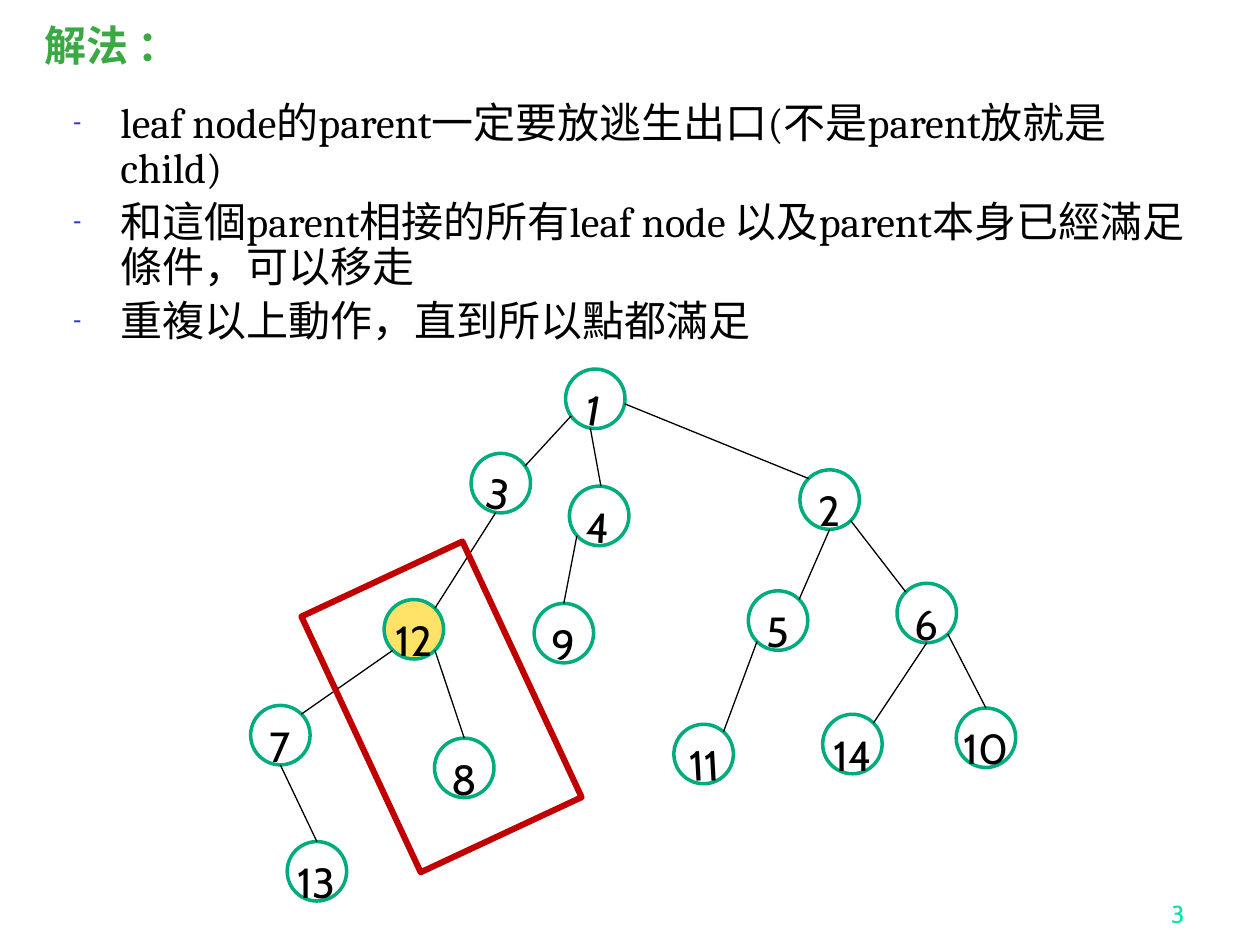
from math import cos, radians, sin

from lxml import etree
from pptx import Presentation
from pptx.dml.color import RGBColor
from pptx.enum.shapes import MSO_CONNECTOR, MSO_SHAPE
from pptx.enum.text import MSO_ANCHOR, MSO_AUTO_SIZE, PP_ALIGN
from pptx.oxml.ns import qn
from pptx.util import Pt

STRAIGHT = MSO_CONNECTOR.STRAIGHT
OVAL, RECTANGLE = MSO_SHAPE.OVAL, MSO_SHAPE.RECTANGLE
TOP, BOTTOM = MSO_ANCHOR.TOP, MSO_ANCHOR.BOTTOM
LEFT, CENTER, RIGHT = PP_ALIGN.LEFT, PP_ALIGN.CENTER, PP_ALIGN.RIGHT
NO_AUTOFIT = MSO_AUTO_SIZE.NONE

BLACK = RGBColor(0x00, 0x00, 0x00)
WHITE = RGBColor(0xFF, 0xFF, 0xFF)
TITLE_GREEN = RGBColor(0x3B, 0xA9, 0x43)
BULLET_BLUE = RGBColor(0x33, 0x33, 0xCC)
NODE_GREEN = RGBColor(0x00, 0xAB, 0x7E)
EXIT_YELLOW = RGBColor(0xFF, 0xE2, 0x67)
REMOVED_RED = RGBColor(0xC0, 0x00, 0x00)
NUMBER_GREEN = RGBColor(0x00, 0xE4, 0xA8)

DIAMETER = 34
STEPS = [
    "leaf node的parent一定要放逃生出口(不是parent放就是child)",
    "和這個parent相接的所有leaf node 以及parent本身已經滿足條件，可以移走",
    "重複以上動作，直到所以點都滿足",
]
NODE_CENTERS = {
    1: (340.2, 227.9), 2: (474.1, 285.5), 3: (286.2, 276.1), 4: (342.4, 294.8),
    5: (444.6, 354.6), 6: (529.6, 350.3), 7: (160.2, 420.1), 8: (265.3, 438.8),
    9: (322.2, 361.8), 10: (563.4, 421.6), 11: (402.1, 430.9),
    12: (236.5, 359.6), 13: (181.1, 497.9), 14: (487.1, 425.2),
}
NODE_TILTS = {1: 9.7, 3: 9.7, 4: 3.4, 11: -3.2}
SITE_ANGLES = {"E": 0, "SE": 45, "S": 90, "SW": 135, "NW": 225, "N": 270, "NE": 315}
EDGES = [
    (1, "SW", 3, "NE"), (1, "S", 4, "N"), (1, "E", 2, "NW"),
    (3, "S", 12, "NE"), (4, "SW", 9, "N"), (2, "S", 5, "NE"),
    (2, "SE", 6, "NW"), (5, "SW", 11, "NE"), (6, "S", 14, "NE"),
    (6, "SE", 10, "N"), (12, "SW", 7, "NE"), (12, "SE", 8, "N"),
    (7, "S", 13, "N"),
]


def place(holder, left, top, width, height):
    """Move and size a placeholder, in points."""
    holder.left, holder.top = Pt(left), Pt(top)
    holder.width, holder.height = Pt(width), Pt(height)


def add_dash(paragraph):
    """Give a paragraph a small coloured dash with a hanging indent."""
    properties = paragraph._p.get_or_add_pPr()
    properties.set("marL", str(Pt(27)))
    properties.set("indent", str(-Pt(27)))
    color = etree.SubElement(properties, qn("a:buClr"))
    etree.SubElement(color, qn("a:srgbClr"), val=str(BULLET_BLUE))
    etree.SubElement(properties, qn("a:buSzPct"), val="60000")
    etree.SubElement(properties, qn("a:buChar"), char="-")


def write_text(holder, lines, font, color, size=24, bold=False, align=LEFT,
               anchor=TOP, wrap=True, spacing=1.0, gap=0, dashed=False):
    """Fill a text holder with formatted paragraphs."""
    frame = holder.text_frame
    frame.auto_size = NO_AUTOFIT
    frame.word_wrap = wrap
    frame.vertical_anchor = anchor
    for index, line in enumerate(lines):
        paragraph = frame.add_paragraph() if index else frame.paragraphs[0]
        if dashed:
            add_dash(paragraph)
        paragraph.alignment = align
        paragraph.line_spacing = spacing
        paragraph.space_before = Pt(gap if index else 0)
        run = paragraph.add_run()
        run.text = line
        run.font.name = font
        run.font.size = Pt(size)
        run.font.bold = bold
        run.font.color.rgb = color


def add_node(slide, number):
    """Draw one numbered tree node."""
    x, y = NODE_CENTERS[number]
    node = slide.shapes.add_shape(OVAL, Pt(x - DIAMETER / 2), Pt(y - DIAMETER / 2),
                                  Pt(DIAMETER), Pt(DIAMETER))
    node.rotation = NODE_TILTS.get(number, 0)
    node.shadow.inherit = False
    node.fill.solid()
    node.fill.fore_color.rgb = EXIT_YELLOW if number == 12 else WHITE
    node.line.color.rgb = NODE_GREEN
    node.line.width = Pt(2)
    write_text(node, [str(number)], "Cabin", BLACK, align=CENTER, wrap=False)


def site_point(number, site):
    """Return the point on a node's rim at a compass site."""
    x, y = NODE_CENTERS[number]
    angle = radians(SITE_ANGLES[site] + NODE_TILTS.get(number, 0))
    return Pt(x + DIAMETER / 2 * cos(angle)), Pt(y + DIAMETER / 2 * sin(angle))


def add_edge(slide, parent, parent_site, child, child_site):
    """Join a parent node to its child."""
    edge = slide.shapes.add_connector(STRAIGHT, *site_point(parent, parent_site),
                                      *site_point(child, child_site))
    edge.line.color.rgb = BLACK
    edge.line.width = Pt(0.75)
    etree.SubElement(edge._element.spPr, qn("a:effectLst"))


def add_removed_frame(slide):
    """Outline the nodes that can be removed."""
    frame = slide.shapes.add_shape(RECTANGLE, Pt(201.6), Pt(323.3), Pt(101.5), Pt(161.3))
    frame.rotation = 335
    frame.shadow.inherit = False
    frame.fill.background()
    frame.line.color.rgb = REMOVED_RED
    frame.line.width = Pt(3.5)


def main():
    """Build the slide and save it."""
    deck = Presentation()
    deck.slide_width, deck.slide_height = Pt(720), Pt(540)
    slide = deck.slides.add_slide(deck.slide_layouts[1])

    title, steps = slide.shapes.title, slide.placeholders[1]
    place(title, 18, 10.8, 158.4, 138.2)
    write_text(title, ["解法 ："], "Times New Roman", TITLE_GREEN, bold=True, spacing=0.9)
    place(steps, 34.6, 54.7, 653, 143.3)
    write_text(steps, STEPS, "Cambria", BLACK, spacing=0.9, gap=4.8, dashed=True)

    page_number = slide.shapes.add_textbox(Pt(534.2), Pt(498.2), Pt(149.8), Pt(36))
    write_text(page_number, ["3"], "Cabin", NUMBER_GREEN, size=14, align=RIGHT, anchor=BOTTOM)

    for number in NODE_CENTERS:
        add_node(slide, number)
    for edge in EDGES:
        add_edge(slide, *edge)
    add_removed_frame(slide)
    deck.save("out.pptx")


if __name__ == "__main__":
    main()
